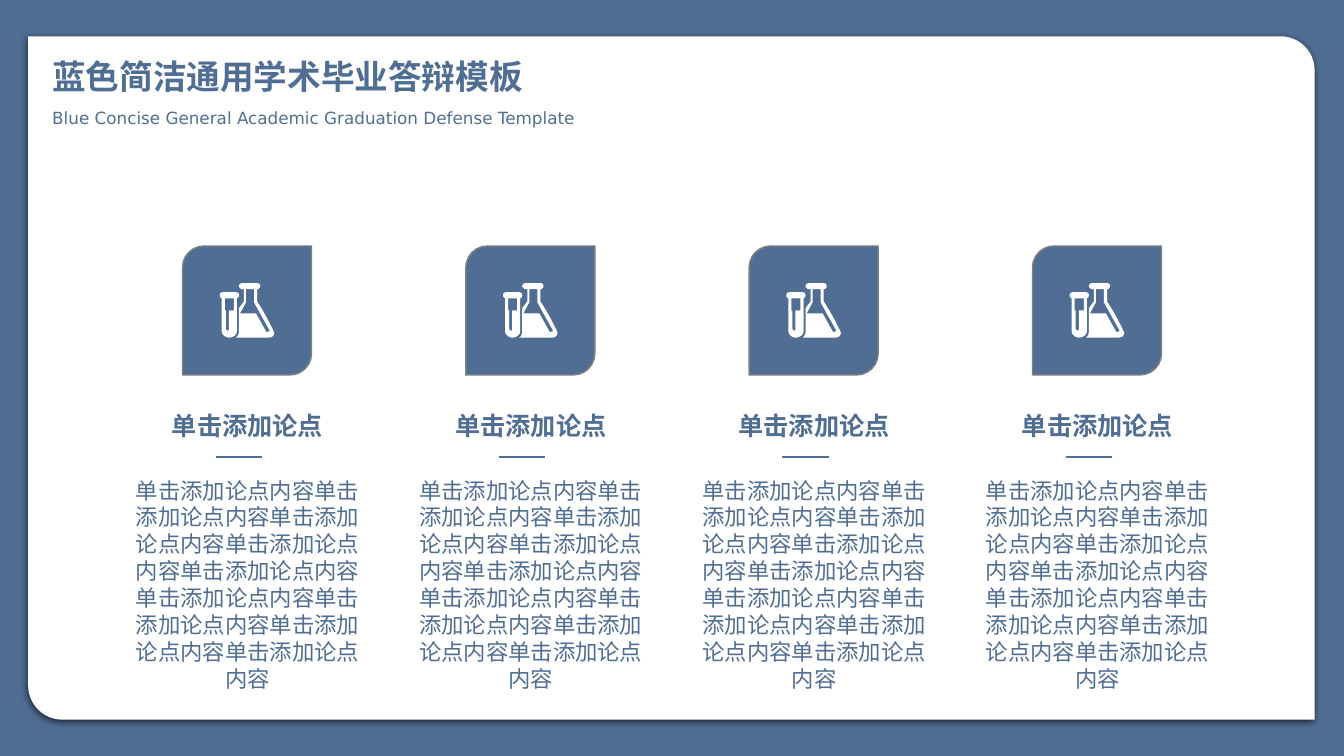
from lxml import etree
from pptx import Presentation
from pptx import util as u
from pptx.dml.color import RGBColor
from pptx.enum import shapes, text
from pptx.oxml.ns import qn

COLORS = {"blue": "506E94", "white": "FFFFFF", "grey": "808080", "black": "000000"}
FONT = "DejaVu Sans"
CARD_COUNT = 4
CARD_LEFT = 1.15
CARD_PITCH = 2.81
CARD_WIDTH = 2.61
HEADING = "单击添加论点"
CONTENT = "单击添加论点内容"

# Hundredths of an inch; two numbers are a line, six are a Bezier curve.
FLASK_ICON = [
    [(37, 18), (37, 6), (39, 6, 40, 4, 40, 3), (40, 1, 39, 0, 37, 0), (22, 0),
     (21, 0, 19, 1, 19, 3), (19, 4, 21, 6, 22, 6), (24, 6), (24, 18),
     (22, 21, 20, 23, 19, 25), (19, 48), (19, 50, 18, 53, 16, 54), (48, 54),
     (52, 54, 54, 52, 54, 49), (54, 49, 48, 35, 37, 18)],
    [(48, 48), (47, 49, 46, 48, 46, 48), (36, 30), (20, 30), (26, 19), (26, 6),
     (34, 6), (34, 19), (40, 30), (49, 46), (50, 47, 49, 48, 48, 48)],
    [(17, 15), (16, 15), (18, 15, 19, 14, 19, 12), (19, 10, 18, 9, 16, 9), (3, 9),
     (1, 9, 0, 10, 0, 12), (0, 14, 1, 15, 3, 15), (2, 15), (2, 48),
     (2, 51, 6, 54, 9, 54), (13, 54, 17, 51, 17, 48)],
    [(14, 27), (9, 27), (9, 45), (9, 46, 9, 47, 8, 47), (7, 47, 6, 46, 6, 45),
     (6, 27), (5, 27), (5, 15), (14, 15)],
]


def color(name):
    return RGBColor.from_string(COLORS[name])


def trace(contour, steps=6):
    points = [contour[0]]
    for segment in contour[1:]:
        if len(segment) == 2:
            points.append(segment)
            continue
        controls = [points[-1], segment[:2], segment[2:4], segment[4:]]
        for step in range(1, steps + 1):
            t = step / steps
            weights = ((1 - t) ** 3, 3 * t * (1 - t) ** 2, 3 * t * t * (1 - t), t ** 3)
            points.append(tuple(sum(w * c[axis] for w, c in zip(weights, controls))
                                for axis in (0, 1)))
    return [(u.Inches(x / 100), u.Inches(y / 100)) for x, y in points]


def write_text(frame, paragraphs, size, bold=False, align=text.PP_ALIGN.LEFT, fill="blue"):
    frame.word_wrap = True
    frame.auto_size = text.MSO_AUTO_SIZE.SHAPE_TO_FIT_TEXT
    for index, words in enumerate(paragraphs):
        paragraph = frame.paragraphs[0] if index == 0 else frame.add_paragraph()
        paragraph.alignment = align
        run = paragraph.add_run()
        run.text = words
        run.font.size = u.Pt(size)
        run.font.bold = bold
        run.font.name = FONT
        run.font.color.rgb = color(fill)
        etree.SubElement(run._r.get_or_add_rPr(), qn("a:ea"), typeface=FONT)


class SlideBuilder:
    def __init__(self, slide):
        self.slide = slide
        self.slide.background.fill.solid()
        self.slide.background.fill.fore_color.rgb = color("blue")

    def paint(self, shape, fill, line=None):
        shape.shadow.inherit = False
        shape.fill.solid()
        shape.fill.fore_color.rgb = color(fill)
        if line:
            shape.line.color.rgb = color(line)
            shape.line.width = u.Pt(1)
        else:
            shape.line.fill.background()
        return shape

    def leaf(self, left, top, width, height, fill, line=None):
        shape = self.slide.shapes.add_shape(
            shapes.MSO_SHAPE.ROUND_2_DIAG_RECTANGLE,
            u.Inches(left), u.Inches(top), u.Inches(width), u.Inches(height))
        return self.paint(shape, fill, line)

    def panel(self, left, top, width, height):
        panel = self.leaf(left, top, width, height, "white")
        panel.adjustments[0] = 0.05
        properties = panel._element.spPr
        properties.find(qn("a:xfrm")).set("flipH", "1")
        shadow = etree.SubElement(
            properties.find(qn("a:effectLst")), qn("a:outerShdw"),
            blurRad=str(u.Pt(4.5)), dist=str(u.Pt(1.5)), dir="5400000",
            algn="t", rotWithShape="0")
        tint = etree.SubElement(shadow, qn("a:srgbClr"), val=COLORS["black"])
        etree.SubElement(tint, qn("a:alpha"), val="63000")

    def label(self, left, top, width, height, paragraphs, **style):
        box = self.slide.shapes.add_textbox(
            u.Inches(left), u.Inches(top), u.Inches(width), u.Inches(height))
        write_text(box.text_frame, paragraphs, **style)

    def rule(self, left, top, width):
        rule = self.slide.shapes.add_connector(
            shapes.MSO_CONNECTOR.STRAIGHT, u.Inches(left), u.Inches(top),
            u.Inches(left + width), u.Inches(top))
        rule.line.color.rgb = color("blue")
        rule.line.width = u.Pt(1.5)
        etree.SubElement(rule._element.spPr, qn("a:effectLst"))

    def icon(self, left, top, contours):
        first, *others = [trace(contour) for contour in contours]
        outline = self.slide.shapes.build_freeform(*first[0], scale=1.0)
        outline.add_line_segments(first[1:], close=True)
        for points in others:
            outline.move_to(*points[0])
            outline.add_line_segments(points[1:], close=True)
        self.paint(outline.convert_to_shape(u.Inches(left), u.Inches(top)), "white")

    def card(self, left):
        center = text.PP_ALIGN.CENTER
        self.leaf(left + 0.66, 2.44, 1.28, 1.28, "blue", "grey")
        self.icon(left + 1.03, 2.81, FLASK_ICON)
        self.label(left, 4.02, CARD_WIDTH, 0.4, [HEADING], size=18, bold=True, align=center)
        self.rule(left + 0.99, 4.53, 0.46)
        self.label(left, 4.68, CARD_WIDTH, 2.25, [CONTENT * 5, CONTENT * 4],
                   size=16, align=center)


def main():
    deck = Presentation()
    deck.slide_width = u.Inches(13.33)
    deck.slide_height = u.Inches(7.5)
    builder = SlideBuilder(deck.slides.add_slide(deck.slide_layouts[6]))
    builder.panel(0.28, 0.36, 12.76, 6.78)
    builder.label(0.42, 0.51, 5.66, 0.5, ["蓝色简洁通用学术毕业答辩模板"], size=24, bold=True)
    builder.label(0.42, 1.02, 5.66, 0.3,
                  ["Blue Concise General Academic Graduation Defense Template"], size=12)
    for index in range(CARD_COUNT):
        builder.card(CARD_LEFT + index * CARD_PITCH)
    deck.save("out.pptx")


if __name__ == "__main__":
    main()
